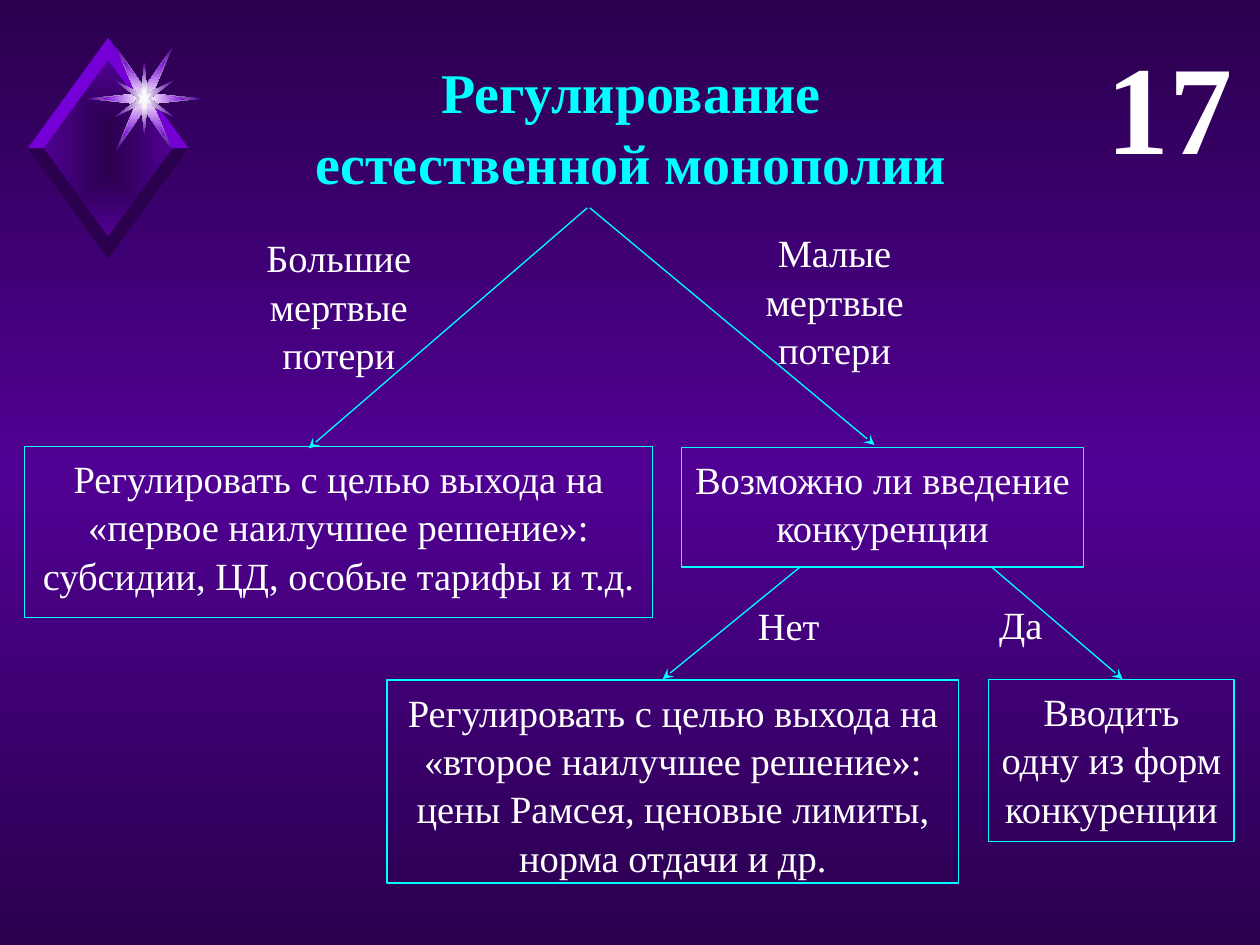
"""Build a slide with a decision tree on regulating a natural monopoly."""
from dataclasses import dataclass

from lxml import etree
from pptx import Presentation
from pptx.dml.color import RGBColor
from pptx.enum import shapes, text
from pptx.oxml import ns
from pptx.util import Cm, Pt


@dataclass(frozen=True)
class Theme:
    font: str = "Times New Roman"
    dark: str = "2A004E"
    violet: str = "500093"
    bright: str = "7500D7"
    accent: str = "00FFFF"
    white: str = "FFFFFF"
    glint: str = "F9F9F9"
    body: int = 22
    heading: int = 32
    number: int = 72
    line: float = 0.75


theme = Theme()


def paint_gradient(fill, element, colours, direction):
    fill.gradient()
    gradient = element.find(".//" + ns.qn("a:gradFill"))
    for child in list(gradient):
        gradient.remove(child)
    stops = etree.SubElement(gradient, ns.qn("a:gsLst"))
    for index, colour in enumerate(colours):
        position = 100000 * index // (len(colours) - 1)
        stop = etree.SubElement(stops, ns.qn("a:gs"), pos=str(position))
        etree.SubElement(stop, ns.qn("a:srgbClr"), val=colour)
    if direction == "down":
        etree.SubElement(gradient, ns.qn("a:lin"), ang="5400000", scaled="0")
    else:
        centre = etree.SubElement(gradient, ns.qn("a:path"), path="rect")
        etree.SubElement(centre, ns.qn("a:fillToRect"), l="50000", t="50000", r="50000", b="50000")


def write(box, lines, size=theme.body, colour=theme.white, bold=False, align=text.PP_ALIGN.CENTER):
    frame = box.text_frame
    frame.word_wrap = True
    frame.auto_size = text.MSO_AUTO_SIZE.NONE
    frame.vertical_anchor = text.MSO_ANCHOR.TOP
    frame.text = "\n".join(lines)
    for para in frame.paragraphs:
        para.alignment = align
        para.line_spacing = 1.05
        para.space_before = Pt(0)
        para.font.name = theme.font
        para.font.size = Pt(size)
        para.font.bold = bold
        para.font.color.rgb = RGBColor.from_string(colour)


deck = Presentation()
deck.slide_width, deck.slide_height = Cm(25.4), Cm(19.05)
page = deck.slides.add_slide(deck.slide_layouts[5])
paint_gradient(page.background.fill, page.element, [theme.dark, theme.violet, theme.dark], "down")

# Ornament outlines are offsets from a centre, in hundredths of a centimetre.
diamond_centre, star_centre = (218, 299), (291, 199)
ornament = [(diamond_centre, [(0, -180), (-132, 0), (0, 180), (132, 0)], [theme.dark, theme.violet])]
for down, colour in [(-1, theme.bright), (1, theme.dark)]:
    for side in (1, -1):
        edge = [(0, 178 * down), (0, 223 * down), (162 * side, 0), (130 * side, 0)]
        ornament.append((diamond_centre, edge, [colour]))

star_quarters = [
    ([(116, 0), (17, 10), (57, 105), (0, 22)], [theme.white, theme.violet]),
    ([(85, 0), (17, 10), (42, 78), (0, 22)], [theme.white, theme.bright]),
    ([(11, 0), (60, 37), (6, 10), (0, 74)], [theme.white, theme.violet]),
    ([(6, 0), (14, 10), (3, 5), (0, 18)], [theme.glint]),
]
for quarter, colours in star_quarters:
    upper = [(-x, -y) for x, y in quarter] + [(x, -y) for x, y in quarter[-2::-1]]
    lower = [(-x, -y) for x, y in upper[1:-1]]
    ornament.append((star_centre, upper + lower, colours))

for (centre_x, centre_y), offsets, colours in ornament:
    points = [(centre_x + x, centre_y + y) for x, y in offsets]
    builder = page.shapes.build_freeform(*points[0], scale=Cm(0.01))
    builder.add_line_segments(points[1:], close=True)
    facet = builder.convert_to_shape()
    facet.shadow.inherit = False
    facet.line.fill.background()
    if len(colours) == 1:
        facet.fill.solid()
        facet.fill.fore_color.rgb = RGBColor.from_string(colours[0])
    else:
        paint_gradient(facet.fill, facet.element, colours, "outward")

title = page.shapes.title
title.left, title.top, title.width, title.height = Cm(0.5), Cm(0.97), Cm(24.44), Cm(3)
write(title, ["Регулирование", "естественной монополии"], theme.heading, theme.accent, True)

number = page.shapes.add_textbox(Cm(21.92), Cm(0.3), Cm(3.18), Cm(3.33))
write(number, ["17"], theme.number, bold=True, align=text.PP_ALIGN.RIGHT)

decisions = [
    (0.5, 9, 12.65, 3.45, ["Регулировать с целью выхода на «первое наилучшее решение»:",
                           "субсидии, ЦД, особые тарифы и т.д."]),
    (13.74, 9.02, 8.1, 2.41, ["Возможно ли введение конкуренции"]),
    (7.8, 13.71, 11.53, 4.09, ["Регулировать с целью выхода на «второе наилучшее решение»:",
                               "цены Рамсея, ценовые лимиты, норма отдачи и др."]),
    (19.93, 13.7, 4.95, 3.27, ["Вводить одну из форм конкуренции"]),
]
for left, top, width, height, lines in decisions:
    box = page.shapes.add_shape(shapes.MSO_SHAPE.RECTANGLE, Cm(left), Cm(top), Cm(width), Cm(height))
    box.shadow.inherit = False
    box.fill.background()
    box.line.color.rgb = RGBColor.from_string(theme.accent)
    box.line.width = Pt(theme.line)
    write(box, lines)

labels = [
    (4.63, 4.55, 4.4, 3.23, "Большие мертвые потери"),
    (15.03, 4.45, 3.59, 3.6, "Малые мертвые потери"),
    (14.95, 11.97, 1.9, 1.1, "Нет"),
    (19.83, 11.94, 1.5, 1.1, "Да"),
]
for left, top, width, height, answer in labels:
    label = page.shapes.add_textbox(Cm(left), Cm(top), Cm(width), Cm(height))
    write(label, [answer])

branches = [
    (11.84, 4.19, 6.22, 9.04),
    (11.89, 4.19, 17.63, 8.97),
    (16.13, 11.43, 13.36, 13.69),
    (19.99, 11.43, 22.63, 13.69),
]
for ends in branches:
    arrow = page.shapes.add_connector(shapes.MSO_CONNECTOR.STRAIGHT, *map(Cm, ends))
    arrow.line.color.rgb = RGBColor.from_string(theme.accent)
    arrow.line.width = Pt(theme.line)
    etree.SubElement(arrow.line._get_or_add_ln(), ns.qn("a:tailEnd"), type="stealth")
    etree.SubElement(arrow.element.spPr, ns.qn("a:effectLst"))

deck.save("out.pptx")
